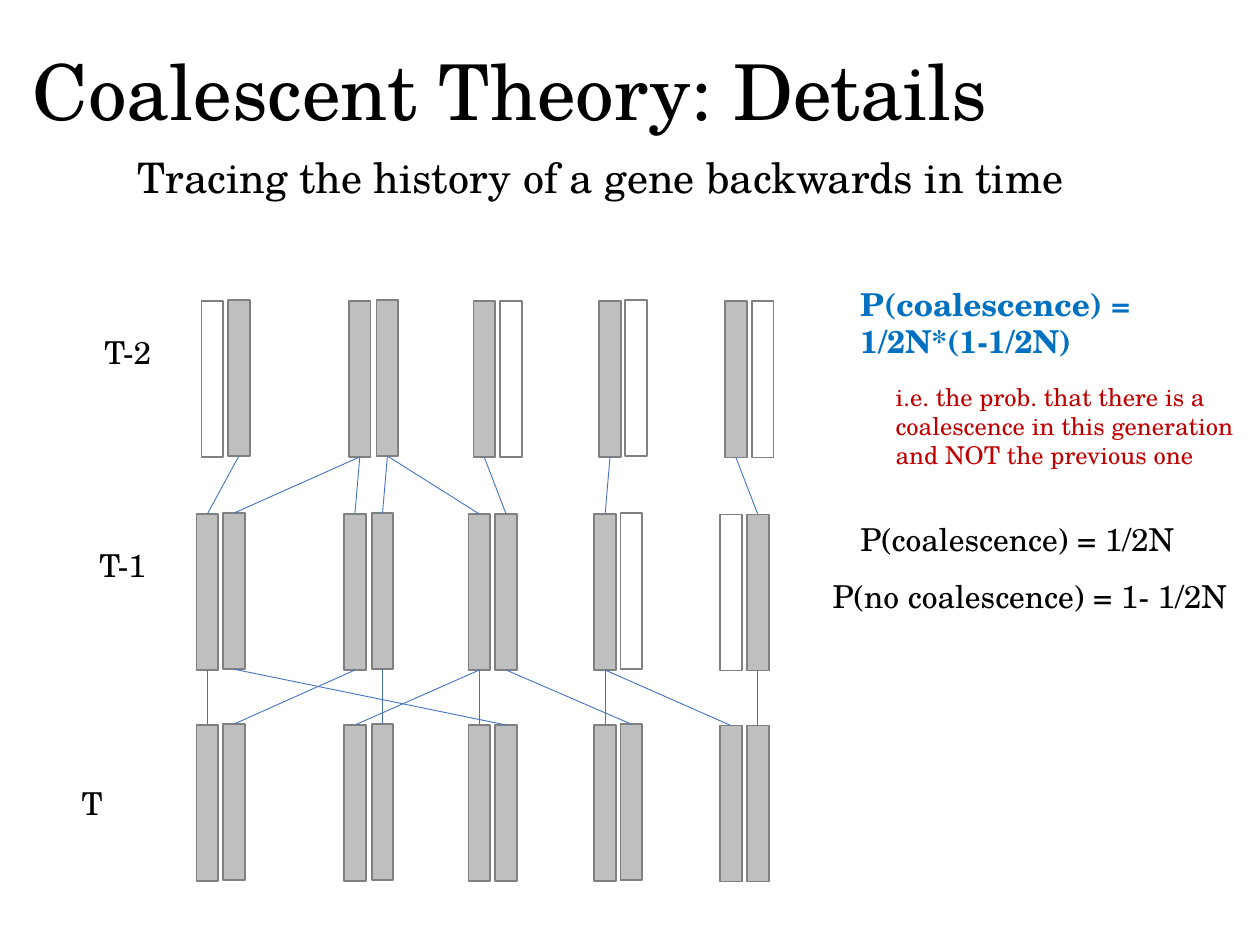
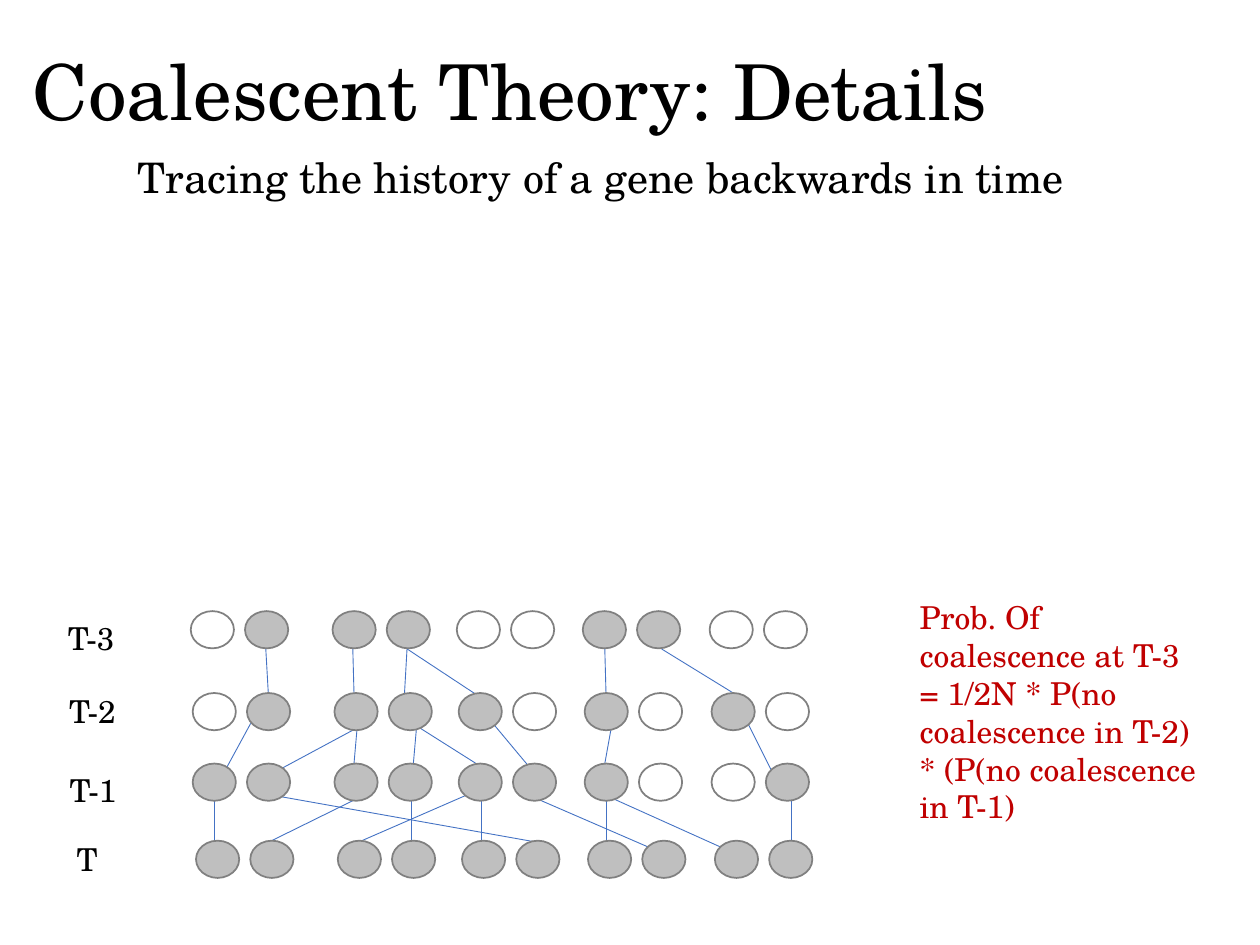
from lxml.etree import SubElement
from pptx import Presentation
from pptx.dml.color import RGBColor
from pptx.enum.shapes import MSO_CONNECTOR as Connector, MSO_SHAPE as Preset
from pptx.enum.text import MSO_ANCHOR as Anchor, MSO_AUTO_SIZE as AutoSize
from pptx.oxml.ns import qn
from pptx.util import Pt

COLORS = {"text": "000000", "traced": "BFBFBF", "untraced": "FFFFFF", "outline": "808080",
          "lineage": "4472C4", "result": "0070C0", "remark": "C00000"}
FONT = "TeX Gyre Schola"
TOP, BOTTOM = 0, 2

BAR_SIZE = (12.4, 89.2)
BAR_OFFSETS = [(0, 0.5), (15.2, 0), (84.3, 0.5), (100.1, 0), (155.4, 0.5),
               (170.7, 0.5), (227.3, 0.5), (242.2, 0), (299.2, 0.8), (314.6, 0.8)]
BAR_ROWS = [(2.8, 0, "0111101010"), (0, 121.8, "1111111001"), (0, 242.4, "1111111111")]
BAR_LINEAGES = [
    [(0, 1), (1, 2), (2, 2), (3, 3), (4, 3), (5, 4), (6, 6), (9, 8)],
    [(0, 0), (1, 2), (2, 4), (3, 3), (4, 4), (5, 1), (6, 6), (7, 5), (8, 6), (9, 9)],
]

GENE_SIZE = (24.7, 21.3)
GENE_OFFSETS = [left + shift for left in (0, 81, 152, 224, 296.5) for shift in (0, 31)]
GENE_ROWS = [(1, 7.2, "0111001100"), (2.1, 54, "0111101010"),
             (2.1, 94.3, "1111111001"), (4, 138.4, "1111111111")]
GENE_LINEAGES = [
    (14.4, 146.9, 14.4, 115.2), (44.6, 139.7, 94.3, 115.2), (95.8, 139.7, 167, 108.7),
    (127.4, 146.9, 127.4, 115.2), (167, 146.9, 167, 115.2), (197.3, 139, 51.1, 113),
    (238.3, 146.9, 238.3, 115.2), (268.6, 144.7, 197.3, 113.8), (314.6, 146.9, 242.6, 114.5),
    (344.2, 147.6, 344.2, 115.9),
    (17.3, 104.4, 35.3, 71.3), (35.3, 106.6, 94.3, 74.9), (93.6, 102.2, 96.5, 69.1),
    (127.4, 103.7, 130.3, 70.6), (177.8, 103, 125.3, 69.8), (195.8, 97.9, 174.2, 72),
    (236.2, 102.2, 241.9, 70.6), (332.6, 97.9, 319.7, 72),
    (45.4, 55.4, 43.9, 28.8), (94.3, 54, 93.6, 28.8), (123.1, 55.4, 124.6, 28.8),
    (164.9, 55.4, 124.6, 28.8), (238.3, 54, 237.6, 28.8), (311, 54, 270, 28.8),
]


def color(name):
    """Return the named colour of the deck."""
    return RGBColor.from_string(COLORS[name])


def add_text(slide, box, words, ink="text", size=18, bold=False, wrap=False, **frame_format):
    """Write one paragraph in a box given as left, top, width, height."""
    frame = slide.shapes.add_textbox(*map(Pt, box)).text_frame
    frame_format = {"word_wrap": wrap, "auto_size": AutoSize.SHAPE_TO_FIT_TEXT, **frame_format}
    for key, value in frame_format.items():
        setattr(frame, key, value)
    paragraph = frame.paragraphs[0]
    run = paragraph.add_run()
    run.text = words
    for key, value in {"name": FONT, "size": Pt(size), "bold": bold}.items():
        setattr(run.font, key, value)
    run.font.color.rgb = color(ink)
    return paragraph


def add_gene(slide, preset, left, top, size, traced):
    """Draw one gene copy, grey when its lineage is traced."""
    gene = slide.shapes.add_shape(preset, *map(Pt, (left, top, *size)))
    gene.shadow.inherit = False
    gene.fill.solid()
    gene.fill.fore_color.rgb = color("traced" if traced else "untraced")
    gene.line.color.rgb = color("outline")
    gene.line.width = Pt(1)
    return gene


def add_lineage(slide, ends=(0, 0, 0, 0)):
    """Draw a thin line from a gene copy to its ancestor."""
    lineage = slide.shapes.add_connector(Connector.STRAIGHT, *map(Pt, ends))
    lineage.line.color.rgb = color("lineage")
    lineage.line.width = Pt(0.5)
    SubElement(lineage._element.spPr, qn("a:effectLst"))
    return lineage


def add_heading(slide, left, top):
    """Write the title and subtitle shared by the slides."""
    title = add_text(slide, (left, top, 620.6, 85.7), "Coalescent Theory: Details", size=44,
                     wrap=True, auto_size=AutoSize.NONE, vertical_anchor=Anchor.MIDDLE)
    title.line_spacing = 0.9
    add_text(slide, (left + 59.8, top + 71.3, 548.6, 36),
             "Tracing the history of a gene backwards in time", size=24)


def add_generation_labels(slide, left, top, labels):
    """Name the generations at their offsets in the label column."""
    for generation, dx, dy in labels:
        add_text(slide, (left + dx, top + dy, 42.5 if "-" in generation else 27, 29), generation)


def add_bar_pedigree(slide, left, top):
    """Draw three generations of bars and join each bar to its ancestor."""
    generations = [
        [add_gene(slide, Preset.RECTANGLE, left + row_left + dx, top + row_top + dy,
                  BAR_SIZE, traced == "1")
         for (dx, dy), traced in zip(BAR_OFFSETS, pattern)]
        for row_left, row_top, pattern in BAR_ROWS]
    for ancestors, descendants, pairs in zip(generations, generations[1:], BAR_LINEAGES):
        for child, parent in pairs:
            lineage = add_lineage(slide)
            lineage.begin_connect(descendants[child], TOP)
            lineage.end_connect(ancestors[parent], BOTTOM)


def add_circle_pedigree(slide, left, top):
    """Draw the lineages and four generations of circles over them."""
    for x1, y1, x2, y2 in GENE_LINEAGES:
        add_lineage(slide, (left + x1, top + y1, left + x2, top + y2))
    for row_left, row_top, pattern in GENE_ROWS:
        for dx, traced in zip(GENE_OFFSETS, pattern):
            add_gene(slide, Preset.OVAL, left + row_left + dx, top + row_top,
                     GENE_SIZE, traced == "1")


def add_probabilities(slide, left, top):
    """Write the probabilities beside the bar generations."""
    add_text(slide, (left + 15.8, top, 211.7, 51), "P(coalescence) = 1/2N*(1-1/2N)",
             "result", bold=True, wrap=True)
    add_text(slide, (left + 36, top + 55.4, 211.7, 58.3),
             "i.e. the prob. that there is a coalescence in this generation "
             "and NOT the previous one", "remark", size=14, wrap=True)
    add_text(slide, (left + 15.8, top + 134.6, 195.8, 29), "P(coalescence) = 1/2N")
    add_text(slide, (left, top + 167, 242, 29), "P(no coalescence) = 1- 1/2N")


def build_bar_slide(slide):
    """Compose the slide with one coalescence step."""
    add_heading(slide, 11.5, 11.5)
    add_bar_pedigree(slide, 112.3, 171.4)
    add_generation_labels(slide, 39.6, 186.5,
                          [("T-2", 13, 0), ("T-1", 10.1, 121.7), ("T", 0, 257.8)])
    add_probabilities(slide, 468.7, 159.1)


def build_circle_slide(slide):
    """Compose the slide with several coalescence steps."""
    add_heading(slide, 11.5, 11.5)
    add_circle_pedigree(slide, 108, 342)
    add_generation_labels(slide, 31.7, 349.9, [("T-3", 0, 0), ("T-2", 0.7, 41.8),
                                               ("T-1", 1, 87.1), ("T", 5, 126.7)])
    add_text(slide, (518.4, 338.4, 177.8, 138.2),
             "Prob. Of coalescence at T-3 = 1/2N * P(no coalescence in T-2) "
             "* (P(no coalescence in T-1)", "remark", wrap=True)


def main():
    """Build and save the deck."""
    deck = Presentation()
    deck.slide_width, deck.slide_height = Pt(720), Pt(540)
    for build in (build_bar_slide, build_circle_slide):
        build(deck.slides.add_slide(deck.slide_layouts[6]))
    deck.save("out.pptx")


if __name__ == "__main__":
    main()
